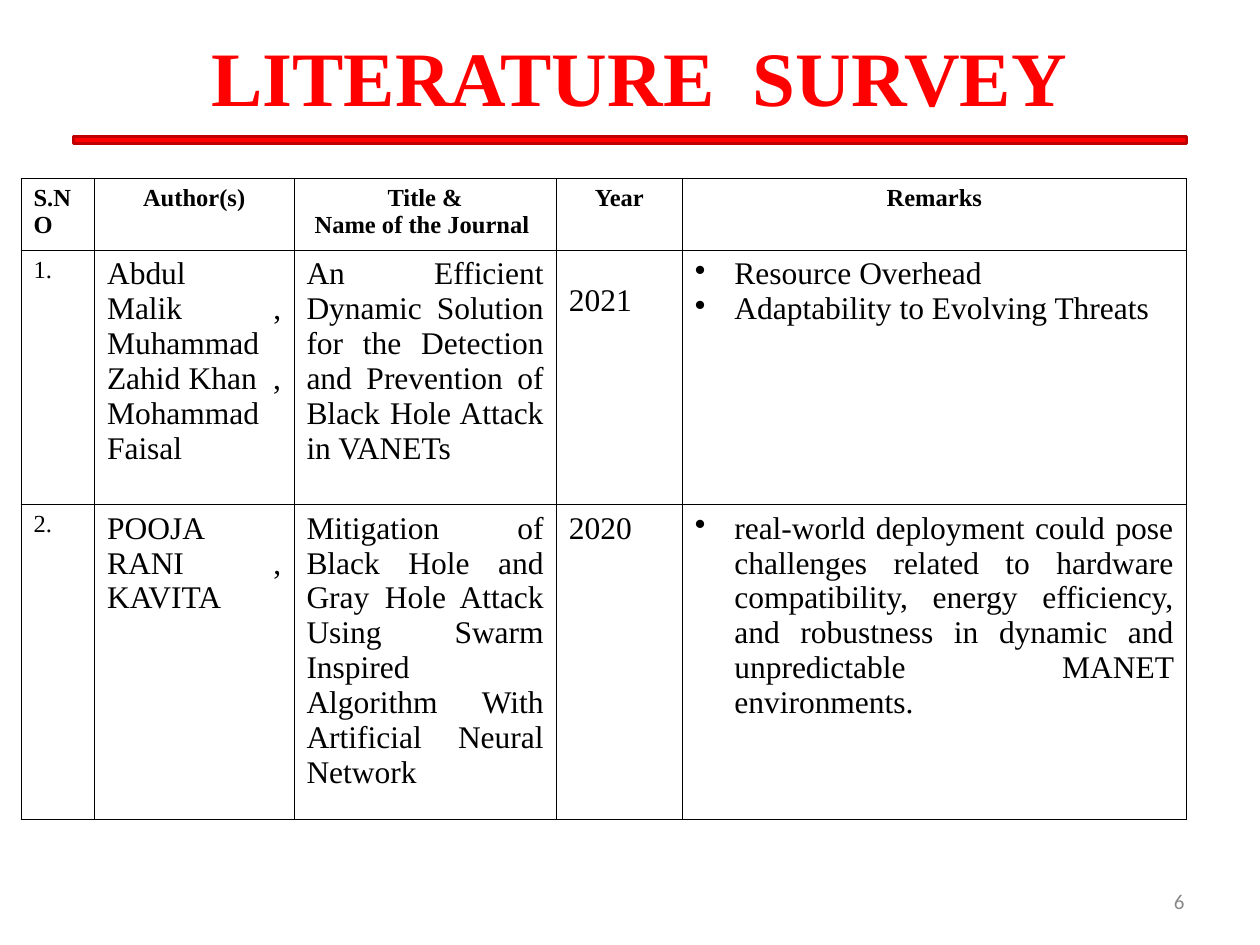
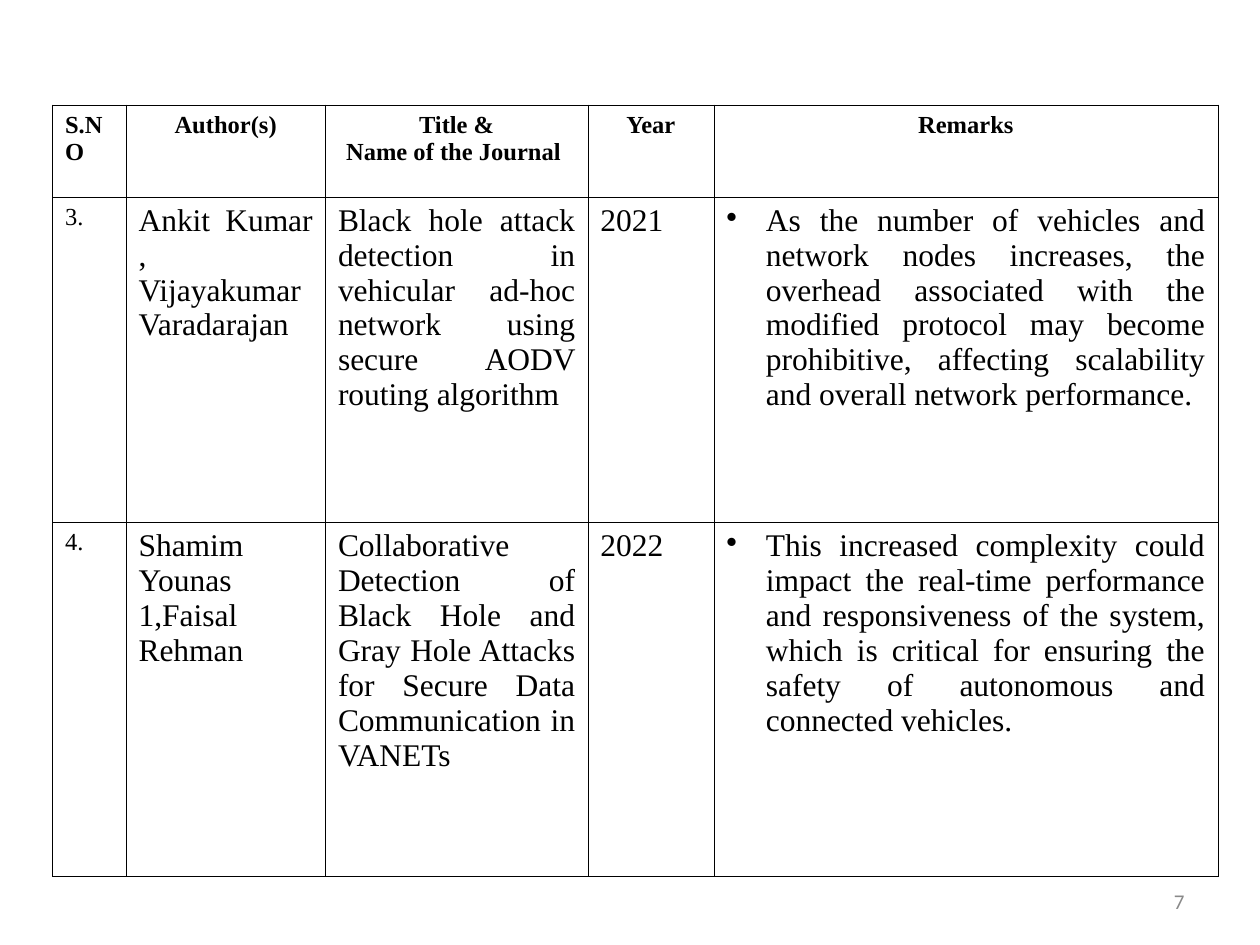
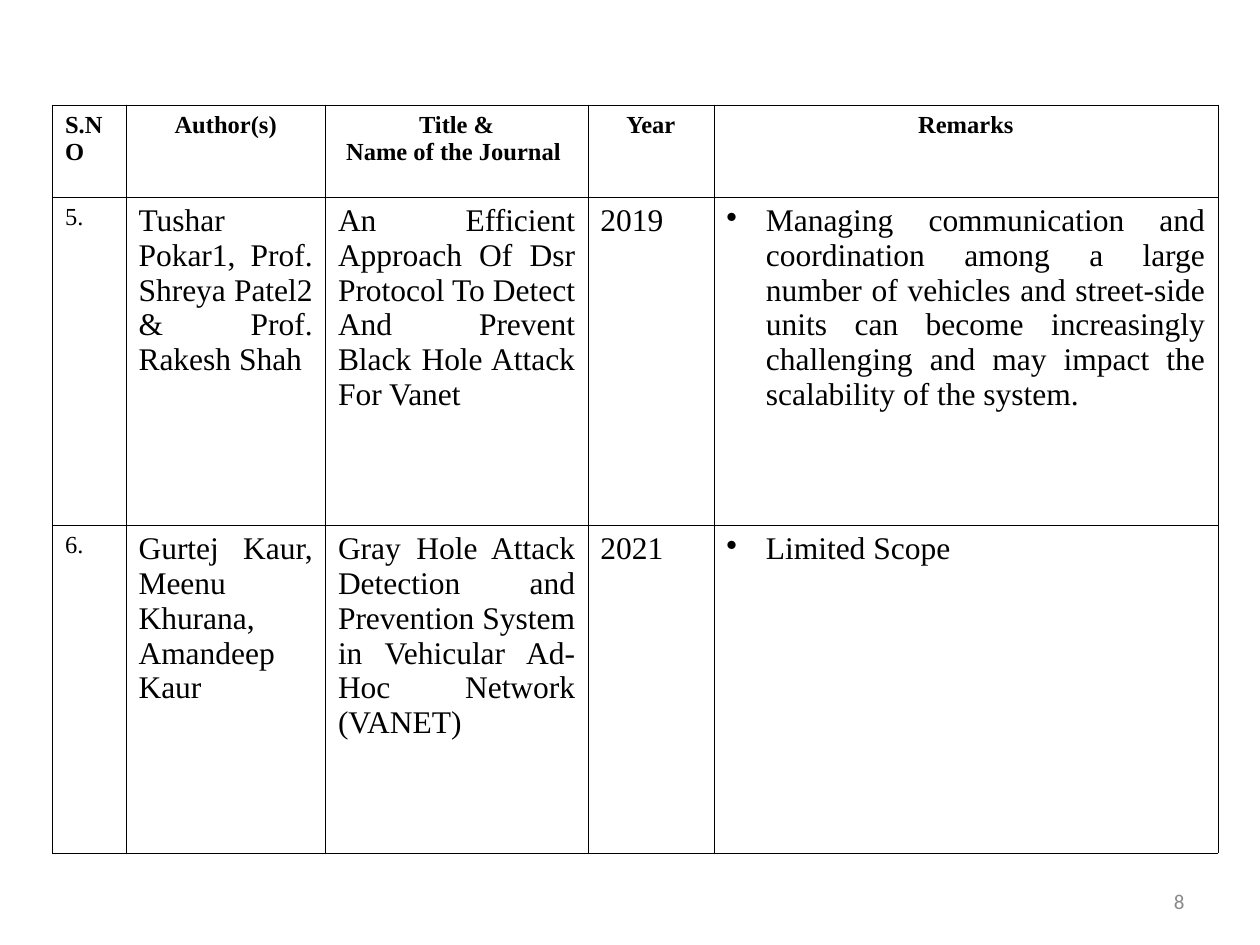
from dataclasses import dataclass

from pptx import Presentation
from pptx.dml.color import RGBColor
from pptx.enum.shapes import MSO_SHAPE
from pptx.enum.text import MSO_ANCHOR, PP_ALIGN
from pptx.oxml.ns import qn
from pptx.util import Pt
from lxml import etree

RECT = MSO_SHAPE.RECTANGLE
MIDDLE = MSO_ANCHOR.MIDDLE
LEFT, CENTER, RIGHT = PP_ALIGN.LEFT, PP_ALIGN.CENTER, PP_ALIGN.RIGHT
JUST = PP_ALIGN.JUSTIFY


@dataclass(frozen=True)
class Theme:
    serif: str = "Times New Roman"
    sans: str = "Calibri"
    red: str = "FF0000"
    dark: str = "C00000"
    black: str = "000000"
    gray: str = "898989"
    title: int = 44
    body: int = 18
    small: int = 14
    page: int = 12
    rule: float = 2
    grid: float = 0.45
    indent: float = 22.5


THEME = Theme()

# Content: one dict per slide; a row is number, authors, paper, year, remarks
TITLE = " LITERATURE  SURVEY"
HEADS = ["S.NO", "Author(s)", "Title &\nName of the Journal ", "Year", "Remarks"]
SLIDES = [
    {"page": 6, "title": TITLE, "at": (12, 102), "rows": (41, 145.5, 180), "drop": 15.5,
     "works": [
         ("1.", "Abdul Malik , Muhammad Zahid Khan  , Mohammad Faisal",
          "An Efficient Dynamic Solution for the Detection and Prevention of "
          "Black Hole Attack in VANETs",
          "2021", "Resource Overhead\nAdaptability to Evolving Threats"),
         ("2.", "POOJA RANI , KAVITA ",
          "Mitigation of Black Hole and Gray Hole Attack Using Swarm Inspired "
          "Algorithm With Artificial Neural Network",
          "2020",
          "real-world deployment could pose challenges related to hardware "
          "compatibility, energy efficiency, and robustness in dynamic and "
          "unpredictable MANET environments."),
     ]},
    {"page": 7, "at": (30, 60), "rows": (52.5, 186, 202.5),
     "works": [
         ("3.", "Ankit Kumar , Vijayakumar Varadarajan ",
          "Black hole attack detection in vehicular ad-hoc network using "
          "secure AODV routing algorithm",
          "2021",
          "As the number of vehicles and network nodes increases, the overhead "
          "associated with the modified protocol may become prohibitive, "
          "affecting scalability and overall network performance."),
         ("4.", "Shamim Younas 1,Faisal Rehman",
          "Collaborative Detection of Black Hole and Gray Hole Attacks for "
          "Secure Data Communication in VANETs",
          "2022",
          "This increased complexity could impact the real-time performance and "
          "responsiveness of the system, which is critical for ensuring the "
          "safety of autonomous and connected vehicles."),
     ]},
    {"page": 8, "at": (30, 60), "rows": (52.5, 187.5, 187.5),
     "works": [
         ("5.", "Tushar Pokar1, Prof. Shreya Patel2 & Prof. Rakesh Shah",
          "An Efficient Approach Of Dsr Protocol To Detect And Prevent Black "
          "Hole Attack For Vanet",
          "2019",
          "Managing communication and coordination among a large number of "
          "vehicles and street-side units can become increasingly challenging "
          "and may impact the scalability of the system."),
         ("6.", "Gurtej Kaur, Meenu Khurana, Amandeep Kaur",
          "Gray Hole Attack Detection and Prevention System in Vehicular Ad-Hoc "
          "Network (VANET)",
          "2021", "Limited Scope"),
     ]},
]

# Columns: width, alignment of the head, alignment and size of the entries
COLS = [
    (42, LEFT, LEFT, THEME.small),
    (114, CENTER, JUST, THEME.body),
    (150, CENTER, JUST, THEME.body),
    (72, CENTER, LEFT, THEME.body),
    (288, CENTER, JUST, THEME.body),
]
YEAR, REMARK = 3, 4


def write(frame, text, size, color=THEME.black, font=THEME.serif, bold=False, align=LEFT):
    frame.word_wrap = True
    frame.text = text
    for para in frame.paragraphs:
        para.alignment = align
        for run in para.runs:
            run.font.name = font
            run.font.size = Pt(size)
            run.font.bold = bold
            run.font.color.rgb = RGBColor.from_string(color)


def add_text(slide, box, text, size, **style):
    frame = slide.shapes.add_textbox(*map(Pt, box)).text_frame
    write(frame, text, size, **style)
    frame.vertical_anchor = MIDDLE
    return frame


def add_title(slide, text):
    frame = add_text(slide, (36, 21, 648, 44.5), text, THEME.title,
                     color=THEME.red, bold=True, align=CENTER)
    frame.margin_left = frame.margin_right = 0
    frame.margin_top = frame.margin_bottom = 0
    bar = slide.shapes.add_shape(RECT, Pt(42), Pt(78), Pt(636), Pt(4))
    bar.shadow.inherit = False
    bar.fill.solid()
    bar.fill.fore_color.rgb = RGBColor.from_string(THEME.red)
    bar.line.color.rgb = RGBColor.from_string(THEME.dark)
    bar.line.width = Pt(THEME.rule)


def add_bullets(frame):
    for para in frame.paragraphs:
        props = para._p.get_or_add_pPr()
        props.set("marL", str(Pt(THEME.indent)))
        props.set("indent", str(-Pt(THEME.indent)))
        etree.SubElement(props, qn("a:buChar")).set("char", "•")


def style_cell(cell):
    """Draw the four borders and clear the fill."""
    props = cell._tc.get_or_add_tcPr()
    for side in ("lnL", "lnR", "lnT", "lnB"):
        line = etree.SubElement(props, qn("a:" + side), w=str(Pt(THEME.grid)))
        fill = etree.SubElement(line, qn("a:solidFill"))
        etree.SubElement(fill, qn("a:srgbClr"), val=THEME.black)
    cell.fill.background()


def add_survey(slide, data):
    rows = [HEADS, *data["works"]]
    width = sum(col[0] for col in COLS)
    box = (*data["at"], width, sum(data["rows"]))
    table = slide.shapes.add_table(len(rows), len(COLS), *map(Pt, box)).table
    table.first_row = table.horz_banding = False
    for row, height in zip(table.rows, data["rows"]):
        row.height = Pt(height)
    for c, (wide, top, align, size) in enumerate(COLS):
        table.columns[c].width = Pt(wide)
        for r, row in enumerate(rows):
            cell = table.cell(r, c)
            head = r == 0
            write(cell.text_frame, row[c], THEME.small if head else size,
                  bold=head, align=top if head else align)
            style_cell(cell)
            if c == REMARK and not head:
                add_bullets(cell.text_frame)
    first = table.cell(1, YEAR)
    first.margin_top += Pt(data.get("drop", 0))


def main():
    deck = Presentation()
    deck.slide_width, deck.slide_height = Pt(720), Pt(540)
    blank = deck.slide_layouts[6]
    for data in SLIDES:
        slide = deck.slides.add_slide(blank)
        if "title" in data:
            add_title(slide, data["title"])
        add_text(slide, (516, 500.5, 168, 28.75), str(data["page"]), THEME.page,
                 color=THEME.gray, font=THEME.sans, align=RIGHT)
        add_survey(slide, data)
    deck.save("out.pptx")


if __name__ == "__main__":
    main()
